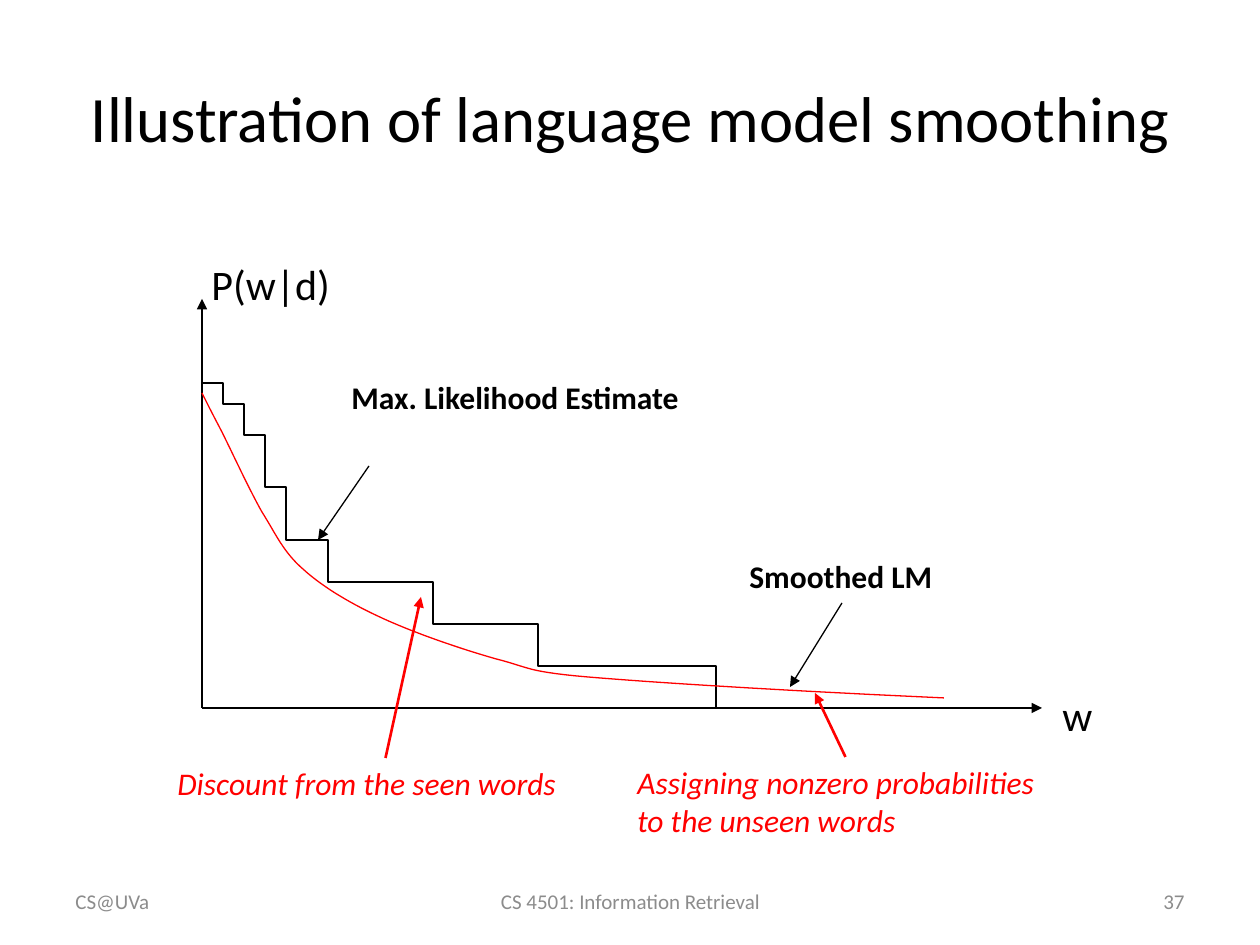
"""Build a slide that compares a maximum likelihood estimate with a smoothed language model."""
from dataclasses import dataclass
from typing import Any, Optional

import lxml.etree
import pptx
import pptx.dml.color
import pptx.enum.shapes
import pptx.enum.text
import pptx.oxml.ns
import pptx.util

ALIGN = pptx.enum.text.PP_ALIGN
ANCHOR = pptx.enum.text.MSO_ANCHOR
AUTO = pptx.enum.text.MSO_AUTO_SIZE
EMU_PER_PX = 914400 / 126
Point = tuple[float, float]


@dataclass(frozen=True)
class Theme:
    font: str = "Calibri"
    ink: str = "000000"
    accent: str = "FF0000"
    muted: str = "8C8C8C"
    title: int = 37
    axis: int = 24
    label: int = 18
    footer: int = 12
    thin: float = 0.75
    thick: float = 1.5


THEME = Theme()


@dataclass(frozen=True)
class Label:
    text: str
    box: tuple[int, int, int, int]
    size: int = THEME.label
    color: str = THEME.ink
    bold: bool = False
    italic: bool = False
    wrap: bool = True
    align: Any = ALIGN.LEFT
    anchor: Any = ANCHOR.TOP
    auto_size: Any = AUTO.SHAPE_TO_FIT_TEXT


@dataclass(frozen=True)
class Line:
    start: Point
    end: Point
    color: str = THEME.ink
    width: float = THEME.thin
    arrow: bool = True


@dataclass(frozen=True)
class Note:
    label: Label
    tip: Point


ORIGIN = (202, 708)
STAIR_END = (716, 708)
STEPS = [(223, 383), (244, 404), (265, 435), (286, 487), (328, 540),
         (433, 582), (538, 624), (716, 666)]
CURVE_START = (202, 393)
CURVE = [
    ((207, 403), (212, 413), (222, 432)),
    ((232, 452), (249, 489), (262, 512)),
    ((276, 534), (283, 552), (304, 570)),
    ((324, 588), (353, 605), (384, 619)),
    ((417, 634), (461, 649), (496, 659)),
    ((532, 668), (524, 672), (599, 678)),
    ((673, 684), (809, 692), (944, 698)),
]
LINES = [
    Line(ORIGIN, (1042, 708)),
    Line(ORIGIN, (202, 299)),
    Line(STAIR_END, (968, 708), width=THEME.thick, arrow=False),
    Line((369, 466), (318, 540)),
    Line((842, 603), (790, 687)),
]
TITLE = Label("Illustration of language model smoothing", (63, 38, 1134, 157), THEME.title,
              align=ALIGN.CENTER, anchor=ANCHOR.MIDDLE, auto_size=AUTO.NONE)
LABELS = [
    Label("P(w|d)", (199, 252, 145, 64), THEME.axis, wrap=False),
    Label("w", (1050, 683, 55, 63), THEME.axis, wrap=False),
    Label("Max. Likelihood Estimate", (339, 372, 410, 50), bold=True),
    Label("Smoothed LM", (737, 551, 262, 47), bold=True),
]
NOTES = [
    Note(Label("Assigning nonzero probabilities to the unseen words", (625, 757, 441, 89),
               color=THEME.accent, italic=True), (815, 693)),
    Note(Label("Discount from the seen words", (165, 758, 441, 50),
               color=THEME.accent, italic=True), (421, 597)),
]
FOOTERS = [
    ("CS@UVa", 63, 294, ALIGN.LEFT),
    ("CS 4501: Information Retrieval", 431, 399, ALIGN.CENTER),
    ("37", 903, 294, ALIGN.RIGHT),
]


def px(n: float) -> int:
    """Turn pixels into EMU."""
    return round(n * EMU_PER_PX)


def rgb(color: str) -> pptx.dml.color.RGBColor:
    """Turn a hex string into a colour."""
    return pptx.dml.color.RGBColor.from_string(color)


def write(sp: Any, text: str, *, size: int, color: str, bold: bool = False,
          italic: bool = False, wrap: bool = True, align: Any = ALIGN.LEFT,
          anchor: Any = ANCHOR.TOP, auto_size: Any = AUTO.NONE) -> None:
    """Put formatted text into a shape."""
    tf = sp.text_frame
    tf.word_wrap, tf.auto_size, tf.vertical_anchor = wrap, auto_size, anchor
    p = tf.paragraphs[0]
    p.alignment = align
    r = p.add_run()
    r.text = text
    r.font.name, r.font.size = THEME.font, pptx.util.Pt(size)
    r.font.bold, r.font.italic = bold, italic
    r.font.color.rgb = rgb(color)


def add_label(slide: Any, label: Label, sp: Optional[Any] = None) -> Any:
    """Draw a label in a new text box or in the given placeholder."""
    box = [px(n) for n in label.box]
    if sp is None:
        sp = slide.shapes.add_textbox(*box)
    sp.left, sp.top, sp.width, sp.height = box
    write(sp, label.text, size=label.size, color=label.color, bold=label.bold,
          italic=label.italic, wrap=label.wrap, align=label.align,
          anchor=label.anchor, auto_size=label.auto_size)
    return sp


def add_line(slide: Any, line: Line) -> Any:
    """Draw a straight connector, with an arrowhead at its end if asked."""
    cxn = slide.shapes.add_connector(pptx.enum.shapes.MSO_CONNECTOR.STRAIGHT,
                                     *(px(n) for n in line.start + line.end))
    cxn.line.color.rgb = rgb(line.color)
    cxn.line.width = pptx.util.Pt(line.width)
    sp_pr = cxn._element.spPr
    if line.arrow:
        lxml.etree.SubElement(sp_pr.get_or_add_ln(), pptx.oxml.ns.qn("a:tailEnd"), type="triangle")
    lxml.etree.SubElement(sp_pr, pptx.oxml.ns.qn("a:effectLst"))
    return cxn


def add_note(slide: Any, note: Note) -> None:
    """Draw a note and the arrow that rises from the middle of its top side."""
    sp = add_label(slide, note.label)
    left, top, width, _ = note.label.box
    cxn = add_line(slide, Line((left + width / 2, top), note.tip, note.label.color, THEME.thick))
    cxn.begin_connect(sp, 0)


def add_path(slide: Any, points: list[Point], color: str, width: float) -> None:
    """Draw an open, unfilled outline through the points."""
    emu = [(px(x), px(y)) for x, y in points]
    builder = slide.shapes.build_freeform(*emu[0], scale=1.0)
    builder.add_line_segments(emu[1:], close=False)
    sp = builder.convert_to_shape()
    sp.shadow.inherit = False
    sp.fill.background()
    sp.line.color.rgb = rgb(color)
    sp.line.width = pptx.util.Pt(width)


def stair_points() -> list[Point]:
    """List the corners of the staircase, one tread at a time."""
    points, x = [], ORIGIN[0]
    for right, y in STEPS:
        points += [(x, y), (right, y)]
        x = right
    return points + [STAIR_END]


def curve_points(count: int = 16) -> list[Point]:
    """Sample the chain of cubic curves evenly."""
    points, a = [CURVE_START], CURVE_START
    for b, c, d in CURVE:
        for t in (i / count for i in range(1, count + 1)):
            u = 1 - t
            weights = (u ** 3, 3 * u * u * t, 3 * u * t * t, t ** 3)
            points.append(tuple(sum(w * q[k] for w, q in zip(weights, (a, b, c, d)))
                                for k in (0, 1)))
        a = d
    return points


def main() -> None:
    """Build and save the slide."""
    prs = pptx.Presentation()
    prs.slide_width, prs.slide_height = px(1260), px(945)
    slide = prs.slides.add_slide(prs.slide_layouts[5])
    add_label(slide, TITLE, slide.shapes.title)
    for line in LINES:
        add_line(slide, line)
    add_path(slide, stair_points(), THEME.ink, THEME.thick)
    add_path(slide, curve_points(), THEME.accent, THEME.thin)
    for label in LABELS:
        add_label(slide, label)
    for note in NOTES:
        add_note(slide, note)
    for text, left, width, align in FOOTERS:
        add_label(slide, Label(text, (left, 876, width, 50), THEME.footer, THEME.muted,
                               align=align, anchor=ANCHOR.MIDDLE, auto_size=AUTO.NONE))
    prs.save("out.pptx")


if __name__ == "__main__":
    main()
